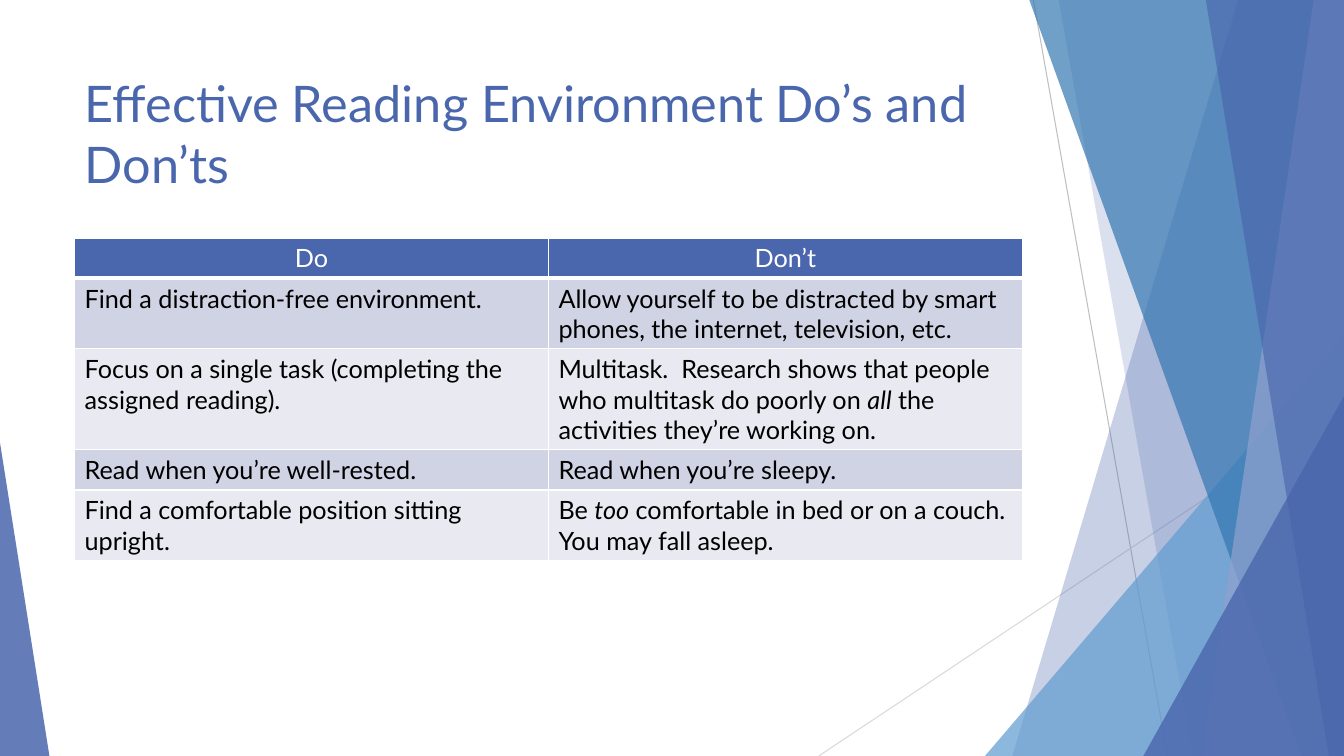
from dataclasses import dataclass

from lxml.etree import SubElement
from pptx import Presentation
from pptx.dml.color import RGBColor
from pptx.enum.shapes import MSO_CONNECTOR, MSO_SHAPE
from pptx.enum.text import MSO_ANCHOR, MSO_AUTO_SIZE, PP_ALIGN
from pptx.oxml.ns import qn
from pptx.util import Inches, Pt


@dataclass(frozen=True)
class Theme:
    font: str = "Lato"
    head: int = 36
    body: int = 18
    main: str = "4A66AC"
    sky: str = "629DD1"
    deep: str = "3477B2"
    pale: str = "90A2CF"
    white: str = "FFFFFF"
    ink: str = "000000"
    bands: tuple = ("D0D3E3", "E9EAF1")
    rules: tuple = ("BFBFBF", "D9D9D9")


THEME = Theme()
WIDE, HIGH = Inches(13.33), Inches(7.5)

# Left, top, width and height in percent of the slide
FULL = (0, 0, 100, 100)
TITLE = (5.55, 8.93, 70.52, 19.2)
TABLE = (5.55, 31.47, 70.52, 42.67)

# Start and end points in percent of the slide
RULES = [((76.89, 0), (86.87, 100)), ((100, 53.73), (60.92, 100))]
# Top-left x, bottom-left x, colour, opacity; each reaches the right edge
BANDS = [
    (92.12, 75.32, THEME.main, 30),
    (78.77, 88.75, THEME.main, 20),
    (76.59, 96.85, THEME.deep, 70),
    (97.75, 89.42, THEME.pale, 70),
    (89.72, 98.87, THEME.main, 65),
]
# Left, top, width, peak, colour, opacity; each stands on the bottom edge
PEAKS = [
    (73.29, 44.4, 26.71, 1, THEME.sky, 72),
    (85.07, 52.4, 14.93, 1, THEME.main, 80),
    (0, 58.53, 3.68, 0, THEME.main, 85),
]

# Left text, right text, text lines in the row; asterisks mark italics
ROWS = [
    ("Do", "Don’t", 1),
    ("Find a distraction-free environment.",
     "Allow yourself to be distracted by smart phones, the internet, television, etc.", 2),
    ("Focus on a single task (completing the assigned reading).",
     "Multitask.  Research shows that people who multitask do poorly on *all* "
     "the activities they’re working on.", 3),
    ("Read when you’re well-rested.", "Read when you’re sleepy.", 1),
    ("Find a comfortable position sitting upright.",
     "Be *too* comfortable in bed or on a couch.  You may fall asleep.", 2),
]


def place(box, area=FULL):
    """Turn shares of a box into lengths on the slide."""
    x, y, w, h = box
    left, top, wide, high = area
    return (int(WIDE * (left + x * wide / 100) / 100),
            int(HIGH * (top + y * high / 100) / 100),
            int(WIDE * w * wide / 10000), int(HIGH * h * high / 10000))


def write(frame, text, size=THEME.body, color=THEME.ink, align=PP_ALIGN.LEFT):
    """Fill a text frame, with italics between asterisks."""
    para = frame.paragraphs[0]
    para.alignment = align
    for i, part in enumerate(text.split("*")):
        run = para.add_run()
        run.text = part
        font = run.font
        font.name, font.size = THEME.font, Pt(size)
        font.bold, font.italic = False, i % 2 == 1
        font.color.rgb = RGBColor.from_string(color)


def tint(shape, color, alpha):
    shape.shadow.inherit = False
    shape.line.fill.background()
    shape.fill.solid()
    shape.fill.fore_color.rgb = RGBColor.from_string(color)
    node = shape.fill._xPr.find(qn("a:solidFill"))[0]
    SubElement(node, qn("a:alpha"), val=str(alpha * 1000))


def add_rule(slide, start, end, color, area):
    ends = [place((*point, 0, 0), area)[:2] for point in (start, end)]
    rule = slide.shapes.add_connector(MSO_CONNECTOR.STRAIGHT, *ends[0], *ends[1])
    rule.line.width = Pt(0.75)
    rule.line.color.rgb = RGBColor.from_string(color)
    SubElement(rule._element.spPr, qn("a:effectLst"))


def add_band(slide, top, foot, color, alpha, area):
    points = [place((x, y, 0, 0), area)[:2]
              for x, y in ((top, 0), (100, 0), (100, 100), (foot, 100))]
    form = slide.shapes.build_freeform(*points[0])
    form.add_line_segments(points[1:], close=True)
    tint(form.convert_to_shape(), color, alpha)


def add_peak(slide, left, top, wide, peak, color, alpha, area):
    box = place((left, top, wide, 100 - top), area)
    shape = slide.shapes.add_shape(MSO_SHAPE.ISOSCELES_TRIANGLE, *box)
    shape.adjustments[0] = peak
    tint(shape, color, alpha)


def add_decor(slide, area):
    for (start, end), color in zip(RULES, THEME.rules):
        add_rule(slide, start, end, color, area)
    for band in BANDS[:2]:
        add_band(slide, *band, area)
    add_peak(slide, *PEAKS[0], area)
    for band in BANDS[2:]:
        add_band(slide, *band, area)
    for peak in PEAKS[1:]:
        add_peak(slide, *peak, area)


def add_title(slide, text, area):
    title = slide.shapes.title
    title.left, title.top, title.width, title.height = place(FULL, area)
    frame = title.text_frame
    frame.word_wrap = True
    frame.auto_size = MSO_AUTO_SIZE.NONE
    frame.vertical_anchor = MSO_ANCHOR.TOP
    write(frame, text, size=THEME.head, color=THEME.main)


def edge(cell, **sides):
    """Draw white cell borders of the given widths in points."""
    props = cell._tc.get_or_add_tcPr()
    for i, (side, width) in enumerate(sides.items()):
        line = props.makeelement(qn(f"a:ln{side}"), {"w": str(Pt(width))})
        fill = SubElement(line, qn("a:solidFill"))
        SubElement(fill, qn("a:srgbClr"), val=THEME.white)
        props.insert(i, line)


def add_grid(slide, rows, area):
    shape = slide.shapes.add_table(len(rows), 2, *place(FULL, area))
    table = shape.table
    table.horz_banding = False
    for r, (*texts, lines) in enumerate(rows):
        table.rows[r].height = Inches(0.1 + 0.3 * lines)
        head = r == 0
        fill = THEME.main if head else THEME.bands[(r - 1) % 2]
        color = THEME.white if head else THEME.ink
        align = PP_ALIGN.CENTER if head else PP_ALIGN.LEFT
        for c, text in enumerate(texts):
            cell = table.cell(r, c)
            cell.fill.solid()
            cell.fill.fore_color.rgb = RGBColor.from_string(fill)
            edge(cell, L=1, R=1, T=3 if r == 1 else 1, B=3 if head else 1)
            write(cell.text_frame, text, color=color, align=align)


def main():
    deck = Presentation()
    deck.slide_width, deck.slide_height = WIDE, HIGH
    slide = deck.slides.add_slide(deck.slide_layouts.get_by_name("Title Only"))
    add_decor(slide, FULL)
    add_title(slide, "Effective Reading Environment Do’s and Don’ts", TITLE)
    add_grid(slide, ROWS, TABLE)
    deck.save("out.pptx")


if __name__ == "__main__":
    main()
